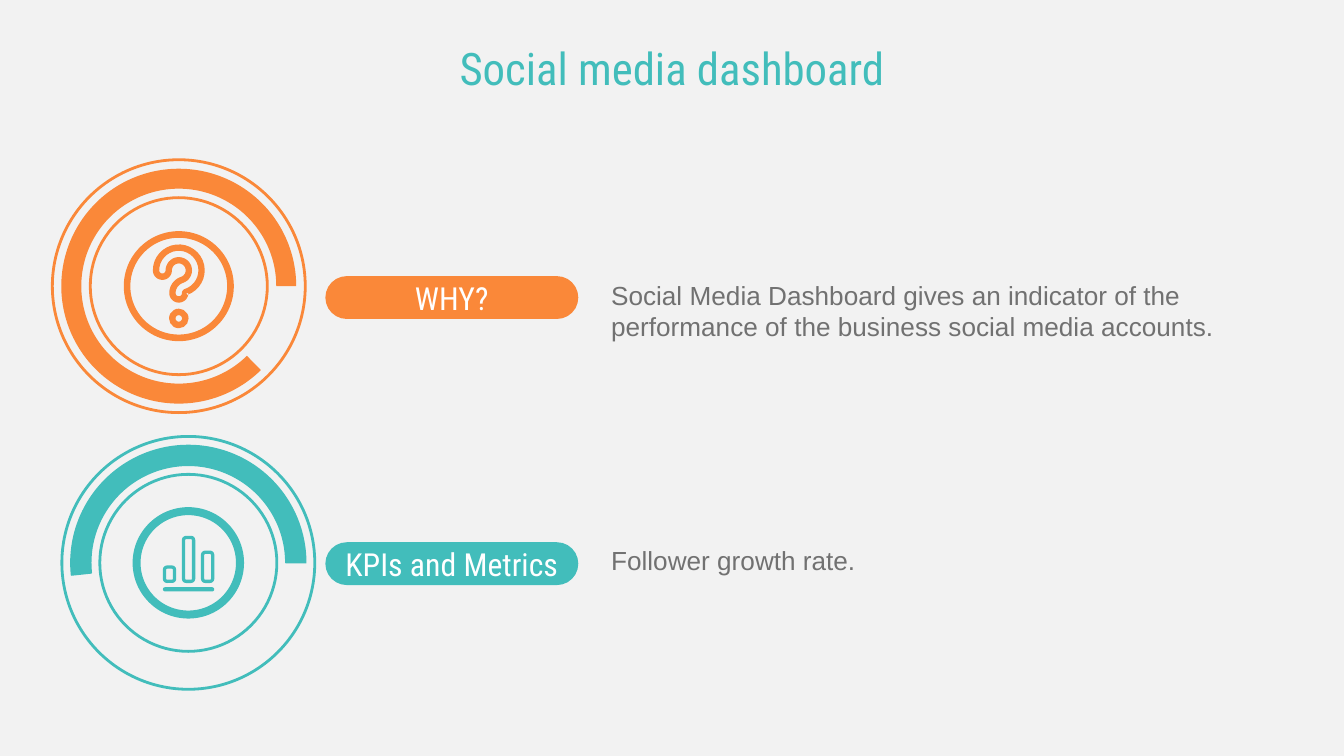
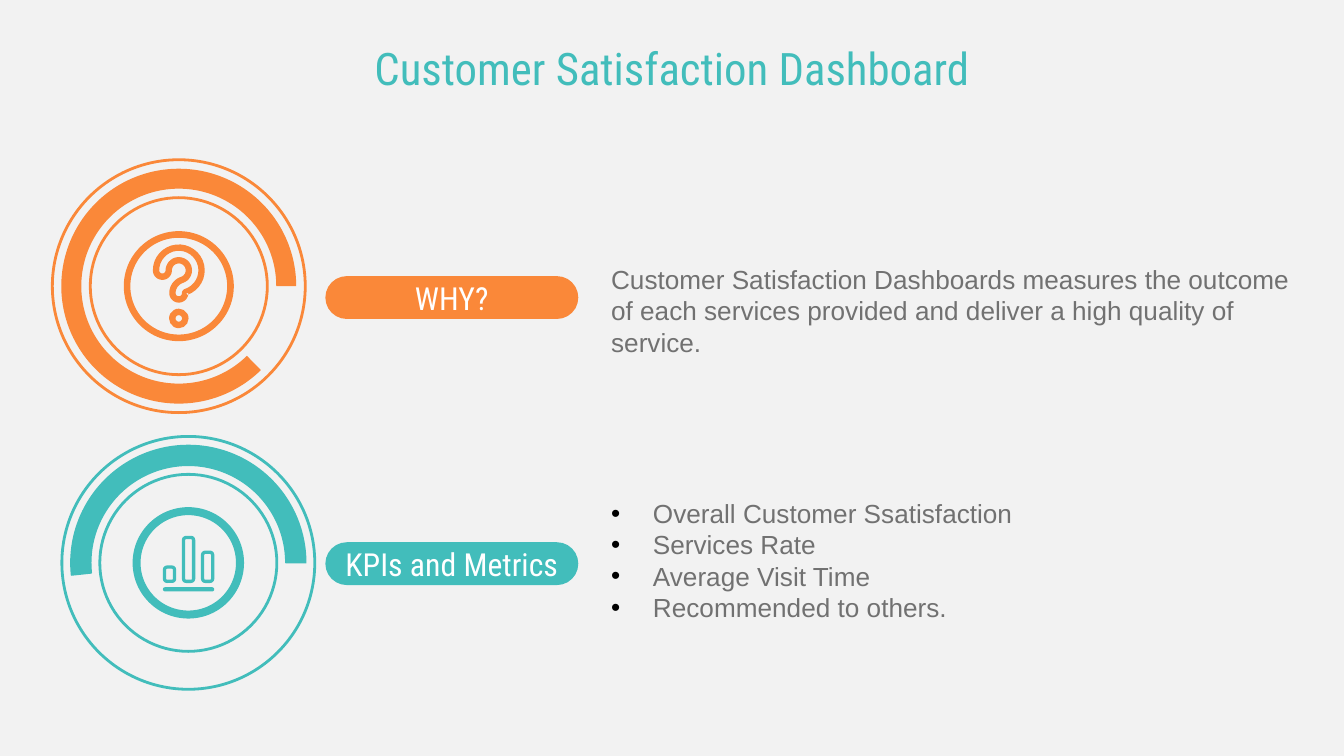
from dataclasses import dataclass
from math import atan2, cos, degrees, hypot, radians, sin

from lxml.etree import SubElement
from pptx import Presentation
from pptx.dml.color import RGBColor
from pptx.enum.shapes import MSO_SHAPE
from pptx.enum.text import MSO_ANCHOR, MSO_AUTO_SIZE, PP_ALIGN
from pptx.oxml.ns import qn
from pptx.util import Cm, Pt


@dataclass(frozen=True)
class Theme:
    """Colours, fonts and type sizes shared by the slides."""

    paper: str = "F2F2F2"
    orange: str = "FA8839"
    teal: str = "42BDBB"
    grey: str = "717171"
    white: str = "FFFFFF"
    black: str = "000000"
    heading_font: str = "Roboto Condensed"
    body_font: str = "Arial"
    title_size: float = 24
    label_size: float = 17
    body_size: float = 14


@dataclass(frozen=True)
class Box:
    """A rectangle in centimetres."""

    left: float
    top: float
    width: float
    height: float

    def lengths(self):
        """Give the four sides as slide lengths."""
        return [Cm(side) for side in (self.left, self.top, self.width, self.height)]


THEME = Theme()
TITLE_BOX = Box(0, 0.64, 25.4, 1.27)
WHY_DIAL = Box(0.99, 3.02, 4.78, 4.78)
METRICS_DIAL = Box(1.17, 8.25, 4.78, 4.78)
WHY_LABEL = Box(6.15, 5.22, 4.78, 0.81)
METRICS_LABEL = Box(6.15, 10.25, 4.78, 0.81)
WHY_TEXT = Box(11.3, 4.29, 13.44, 3.66)
METRICS_TEXT = Box(11.3, 8.76, 13.44, 3.66)
INSET = 0.25
LAST_LINE_SPACE = 0.5


def paint(shape, fill=None, line=None, width=0.75):
    """Set a shape's fill and outline, leaving out whichever is not given."""
    shape.shadow.inherit = False
    if fill:
        shape.fill.solid()
        shape.fill.fore_color.rgb = RGBColor.from_string(fill)
    else:
        shape.fill.background()
    if line:
        shape.line.color.rgb = RGBColor.from_string(line)
        shape.line.width = Pt(width)
    else:
        shape.line.fill.background()


def add_preset(shapes, kind, box, adjustments, **style):
    """Add a preset shape with its adjustments and paint."""
    shape = shapes.add_shape(kind, *box.lengths())
    for index, value in enumerate(adjustments):
        shape.adjustments[index] = value
    paint(shape, **style)
    return shape


def add_round(shapes, kind, centre, diameter, adjustments, **style):
    """Add a round preset shape about a centre."""
    x, y = centre
    box = Box(x - diameter / 2, y - diameter / 2, diameter, diameter)
    return add_preset(shapes, kind, box, adjustments, **style)


def set_frame(frame, side, end, anchor, bottom=None):
    """Set the wrapping, margins and anchor of a text frame."""
    frame.word_wrap = True
    frame.auto_size = MSO_AUTO_SIZE.NONE
    frame.margin_left = frame.margin_right = Cm(side)
    frame.margin_top = Cm(end)
    frame.margin_bottom = Cm(bottom or end)
    frame.vertical_anchor = anchor


def add_span(para, text, font, size, colour):
    """Add one formatted run to a paragraph."""
    span = para.add_run()
    span.text = text
    span.font.name = font
    span.font.size = Pt(size)
    span.font.color.rgb = RGBColor.from_string(colour)


def add_bullet(para):
    """Give a paragraph a black bullet with a hanging indent."""
    properties = para._p.get_or_add_pPr()
    properties.set("marL", str(Cm(0.79)))
    properties.set("indent", str(-Cm(0.79)))
    colour = SubElement(properties, qn("a:buClr"))
    SubElement(colour, qn("a:srgbClr"), val=THEME.black)
    SubElement(properties, qn("a:buFont"), typeface=THEME.body_font)
    SubElement(properties, qn("a:buChar"), char="•")


def arc(centre, radius, start, end, steps=24):
    """List points along an arc, with angles in degrees clockwise from the right."""
    turns = [radians(start + (end - start) * step / steps) for step in range(steps + 1)]
    return [(centre[0] + radius * cos(turn), centre[1] + radius * sin(turn)) for turn in turns]


def hook_contour(centre, offset):
    """List the points at one distance around a question mark's stroke."""
    radius, drop = 0.31, 0.43
    tail = (drop**2 - radius**2) / (2 * radius)
    bend = degrees(atan2(drop, tail))
    x, y = centre
    tail_centre = (x + tail, y + drop)
    assert abs(hypot(tail, drop) - radius - tail) < 0.01
    return [
        *arc(centre, radius + offset, 180, 360 + bend),
        *arc(tail_centre, max(tail - offset, 0), 180 + bend, 180),
        *arc((x, y + drop), offset, 0, 180),
        *arc(tail_centre, tail + offset, 180, 180 + bend),
        *arc(centre, radius - offset, 360 + bend, 180),
        *arc((x - radius, y), offset, 0, 180),
    ]


def draw_question(shapes, centre, colour):
    """Draw an outlined question mark about a centre."""
    x, y = centre
    hook_centre = (x, y - 0.3)
    outer, inner = [hook_contour(hook_centre, offset) for offset in (0.18, 0.06)]
    scale = Cm(1) / 1000
    contours = [[(px * 1000, py * 1000) for px, py in contour] for contour in (outer, inner)]
    builder = shapes.build_freeform(*contours[0][0], scale=scale)
    builder.add_line_segments(contours[0][1:])
    builder.move_to(*contours[1][0])
    builder.add_line_segments(contours[1][1:])
    paint(builder.convert_to_shape(), fill=colour)
    add_round(shapes, MSO_SHAPE.DONUT, (x, y + 0.61), 0.37, [0.33], fill=colour)


def draw_bars(shapes, centre, colour):
    """Draw three outlined bars over a base line."""
    x, y = centre
    left, bottom, stroke = x - 0.48, y + 0.38, 0.06
    base = Box(left, y + 0.46, 0.97, 0.08)
    add_preset(shapes, MSO_SHAPE.ROUNDED_RECTANGLE, base, [0.5], fill=colour)
    for index, height in enumerate((0.33, 0.89, 0.61)):
        bar = Box(
            left + index * 0.36 + stroke / 2,
            bottom - height + stroke / 2,
            0.25 - stroke,
            height - stroke,
        )
        add_preset(shapes, MSO_SHAPE.ROUNDED_RECTANGLE, bar, [0.25], line=colour, width=1.75)


def draw_dial(page, box, colour, start, draw_icon, edge=None):
    """Draw a ring with a progress arc and an icon at its centre."""
    shapes = page.shapes.add_group_shape().shapes
    centre = (box.left + box.width / 2, box.top + box.height / 2)
    add_round(shapes, MSO_SHAPE.DONUT, centre, box.width, [0.15], line=colour, width=1.5)
    sweep = [start * 0.6, 359.99 * 0.6, 0.085]
    add_round(shapes, MSO_SHAPE.BLOCK_ARC, centre, 4.44, sweep, fill=colour, line=edge)
    add_round(shapes, MSO_SHAPE.DONUT, centre, 2.08, [0.06], fill=colour, line=edge)
    draw_icon(shapes, centre, colour)


def draw_label(page, box, text, colour):
    """Draw a pill with a centred label."""
    pill = add_preset(page.shapes, MSO_SHAPE.ROUNDED_RECTANGLE, box, [0.5], fill=colour)
    set_frame(pill.text_frame, INSET, INSET, MSO_ANCHOR.MIDDLE)
    para = pill.text_frame.paragraphs[0]
    para.alignment = PP_ALIGN.CENTER
    add_span(para, text, THEME.heading_font, THEME.label_size, THEME.white)


def draw_text(page, box, lines, bottom=INSET):
    """Write body lines in a box, with bullets when there are several."""
    frame = page.shapes.add_textbox(*box.lengths()).text_frame
    set_frame(frame, INSET, INSET, MSO_ANCHOR.MIDDLE, bottom)
    for index, line in enumerate(lines):
        para = frame.add_paragraph() if index else frame.paragraphs[0]
        if len(lines) > 1:
            add_bullet(para)
        add_span(para, line, THEME.body_font, THEME.body_size, THEME.grey)


def draw_title(page, box, text):
    """Place and format the title placeholder."""
    title = page.shapes.title
    title.left, title.top, title.width, title.height = box.lengths()
    set_frame(title.text_frame, INSET, 0.13, MSO_ANCHOR.TOP)
    para = title.text_frame.paragraphs[0]
    para.alignment = PP_ALIGN.CENTER
    add_span(para, text, THEME.heading_font, THEME.title_size, THEME.teal)


def add_dashboard_page(deck, title, reason, metrics):
    """Add a slide that explains a dashboard and lists its metrics."""
    page = deck.slides.add_slide(deck.slide_layouts[5])
    page.background.fill.solid()
    page.background.fill.fore_color.rgb = RGBColor.from_string(THEME.paper)
    draw_title(page, TITLE_BOX, title)
    draw_text(page, WHY_TEXT, [reason], INSET + LAST_LINE_SPACE)
    draw_label(page, WHY_LABEL, "WHY?", THEME.orange)
    draw_dial(page, WHY_DIAL, THEME.orange, 45.65, draw_question)
    draw_label(page, METRICS_LABEL, "KPIs and Metrics", THEME.teal)
    draw_dial(page, METRICS_DIAL, THEME.teal, 174.02, draw_bars, THEME.teal)
    draw_text(page, METRICS_TEXT, metrics)


def main():
    """Build and save the deck."""
    deck = Presentation()
    deck.slide_width, deck.slide_height = Cm(25.4), Cm(14.29)
    add_dashboard_page(
        deck,
        "Social media dashboard",
        "Social Media Dashboard gives an indicator of the performance of the "
        "business social media accounts.",
        ["Follower growth rate."],
    )
    add_dashboard_page(
        deck,
        "Customer Satisfaction Dashboard",
        "Customer Satisfaction Dashboards measures the outcome of each services "
        "provided and deliver a high quality of service.",
        [
            "Overall Customer Ssatisfaction",
            "Services Rate",
            "Average Visit Time",
            "Recommended to others.",
        ],
    )
    deck.save("out.pptx")


if __name__ == "__main__":
    main()
